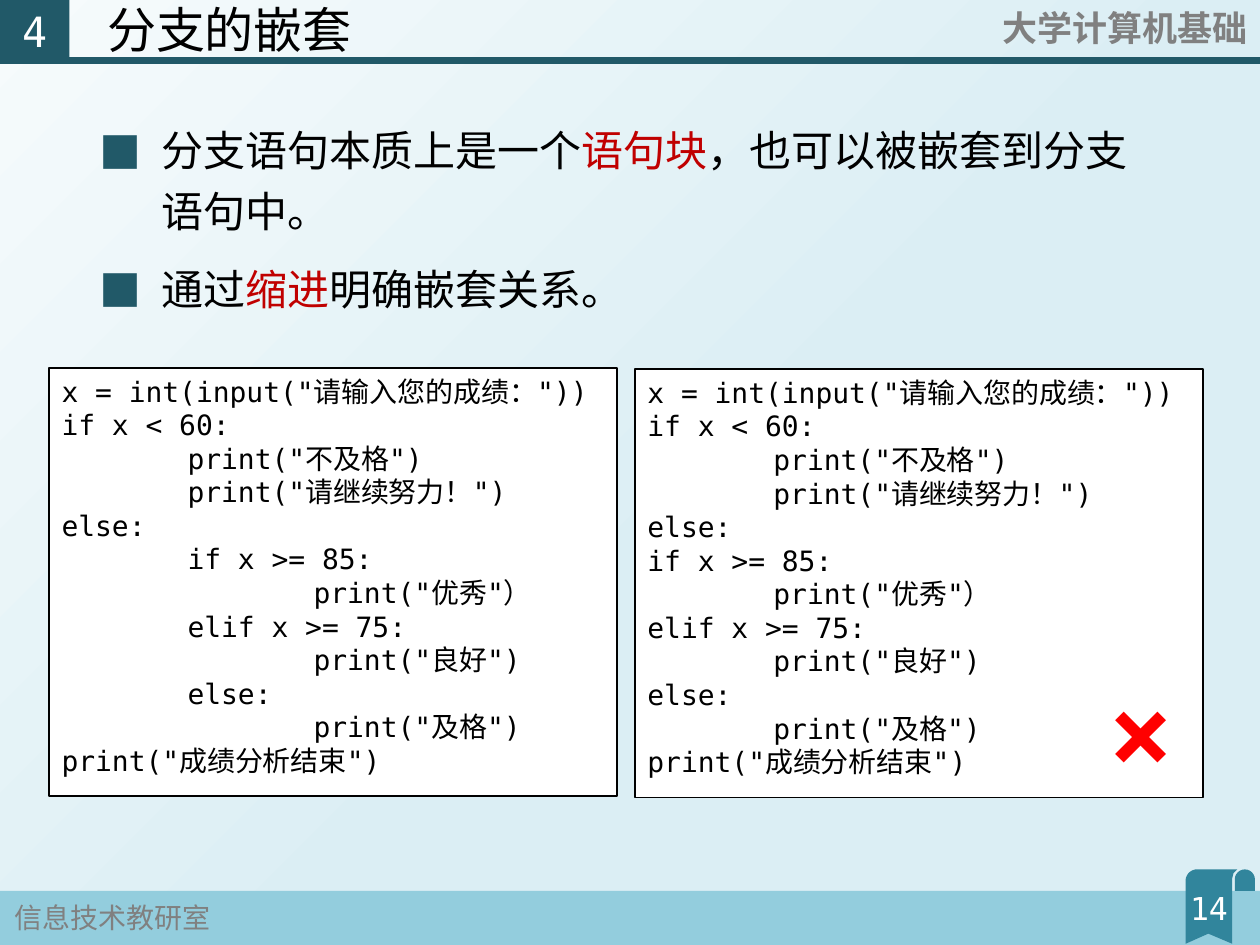
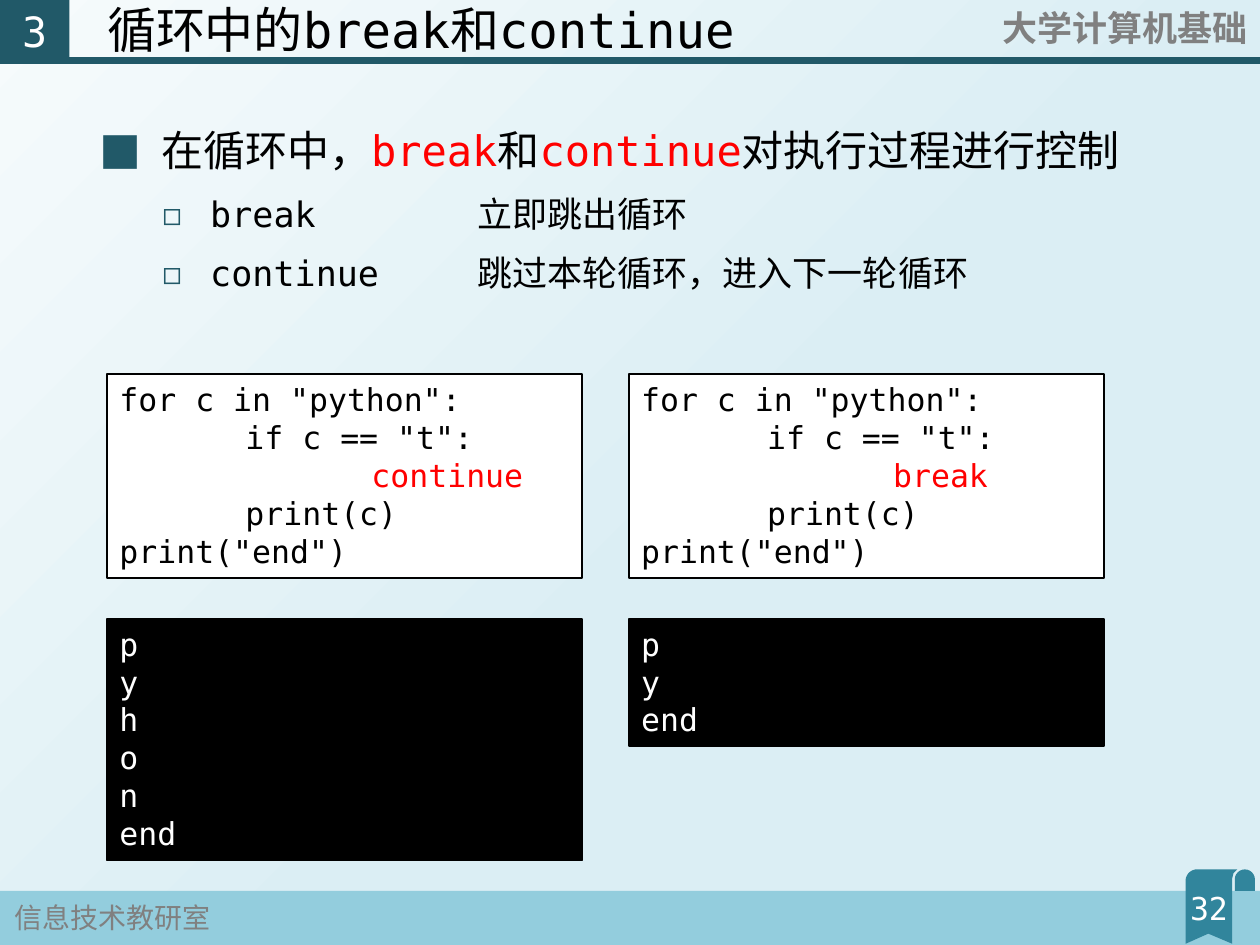
"""Build two lecture slides on nested branches and loop control."""
from dataclasses import dataclass
from math import cos, pi, sin

from lxml.etree import SubElement
from pptx import Presentation
from pptx.dml.color import RGBColor
from pptx.enum.shapes import MSO_CONNECTOR as Connector, MSO_SHAPE as Preset
from pptx.enum.text import MSO_ANCHOR as Anchor, MSO_AUTO_SIZE as AutoSize, PP_ALIGN as Align
from pptx.oxml.ns import qn
from pptx.util import Inches, Pt


@dataclass(frozen=True)
class Theme:
    """Colours, fonts and type sizes of the deck."""
    mono: str = "DejaVu Sans Mono"
    cjk: str = "Noto Sans CJK JP"
    dark: str = "215968"
    ribbon: str = "31859C"
    band: str = "93CDDD"
    pale: str = "F6FBFC"
    mist: str = "DBEEF4"
    grey: str = "808080"
    black: str = "000000"
    white: str = "FFFFFF"
    red: str = "FF0000"
    crimson: str = "C00000"
    title: float = 28
    point: float = 24
    chapter: float = 23.8
    subpoint: float = 20
    course: float = 20
    page: float = 18
    footer: float = 16
    cross: float = 60


THEME = Theme()
TAB = Inches(1)

NESTED = """x = int(input("请输入您的成绩："))
if x < 60:
\tprint("不及格")
\tprint("请继续努力！")
else:
\tif x >= 85:
\t\tprint("优秀"）
\telif x >= 75:
\t\tprint("良好")
\telse:
\t\tprint("及格")
print("成绩分析结束")"""

LOOP = """for c in "python":
\tif c == "t":
\t\t|{}|
\tprint(c)
print("end")"""


def rgb(colour):
    """Turn a hex string into a colour."""
    return RGBColor.from_string(colour)


def inches(*lengths):
    """Convert several lengths to Inches."""
    return [Inches(length) for length in lengths]


def style(run, size, colour, font=THEME.mono, bold=False):
    """Format one run for Latin and Chinese text."""
    run.font.size, run.font.bold, run.font.name = Pt(size), bold, font
    run.font.color.rgb = rgb(colour)
    SubElement(run.font._element, qn("a:ea"), typeface=THEME.cjk)


def write(paragraph, text, size, colour, accent=THEME.red, **options):
    """Write a line in which text between bars takes the accent colour."""
    paragraph._p.get_or_add_pPr().set("defTabSz", str(TAB))
    for index, piece in enumerate(text.split("|")):
        if piece:
            run = paragraph.add_run()
            run.text = piece
            style(run, size, accent if index % 2 else colour, **options)


def add_label(slide, box, text, size, colour, align=Align.LEFT, wrap=True, grow=True, **options):
    """Add a single-line text box."""
    frame = slide.shapes.add_textbox(*inches(*box)).text_frame
    frame.word_wrap = wrap
    frame.auto_size = AutoSize.SHAPE_TO_FIT_TEXT if grow else AutoSize.NONE
    frame.paragraphs[0].alignment = align
    write(frame.paragraphs[0], text, size, colour, **options)


def paint(shape, fill, line=None):
    """Give a shape a flat fill and an optional thin outline."""
    shape.shadow.inherit = False
    shape.fill.solid()
    shape.fill.fore_color.rgb = rgb(fill)
    if line:
        shape.line.color.rgb = rgb(line)
        shape.line.width = Pt(1)
    else:
        shape.line.fill.background()


def add_rect(slide, box, fill, line=None):
    """Add a flat rectangle."""
    rect = slide.shapes.add_shape(Preset.RECTANGLE, *inches(*box))
    paint(rect, fill, line)
    return rect


def add_code(slide, box, source, size, dark=False):
    """Add a code listing, or its output on black."""
    fill, ink = (THEME.black, THEME.white) if dark else (THEME.white, THEME.black)
    frame = add_rect(slide, box, fill, THEME.black).text_frame
    frame.word_wrap = True
    frame.auto_size = AutoSize.SHAPE_TO_FIT_TEXT
    frame.vertical_anchor = Anchor.TOP
    for index, line in enumerate(source.splitlines()):
        paragraph = frame.add_paragraph() if index else frame.paragraphs[0]
        paragraph.alignment = Align.LEFT
        write(paragraph, line, size, ink)


def set_bullet(paragraph, char, percent, margin, hang):
    """Give a paragraph a coloured bullet and a hanging indent."""
    props = paragraph._p.get_or_add_pPr()
    props.set("marL", str(Inches(margin)))
    props.set("indent", str(-Inches(hang)))
    tint = SubElement(props, qn("a:buClr"))
    SubElement(tint, qn("a:srgbClr"), val=THEME.dark)
    SubElement(props, qn("a:buSzPct"), val=str(percent * 1000))
    SubElement(props, qn("a:buFont"), typeface=THEME.cjk)
    SubElement(props, qn("a:buChar"), char=char)


def add_points(slide, points, accent):
    """Add the bulleted text from (level, text) pairs."""
    frame = slide.shapes.add_textbox(*inches(0.69, 0.86, 8.62, 1.7)).text_frame
    frame.word_wrap = True
    for index, (level, text) in enumerate(points):
        paragraph = frame.add_paragraph() if index else frame.paragraphs[0]
        paragraph.level = level
        paragraph.line_spacing = 1.2
        paragraph.space_before = Pt(5 if level else 10)
        if level:
            set_bullet(paragraph, "◻", 90, 0.88, 0.38)
        else:
            set_bullet(paragraph, "■", 100, 0.49, 0.49)
        write(paragraph, text, THEME.subpoint if level else THEME.point, THEME.black, accent)


def arc(x, y, radius, start, end, steps=12):
    """List points on an arc, with angles in half turns."""
    angles = [pi * (start + (end - start) * step / steps) for step in range(steps + 1)]
    return [(x + radius * cos(angle), y - radius * sin(angle)) for angle in angles]


def add_ribbon(slide):
    """Draw the page-number ribbon and its curl."""
    curl = arc(9.88, 6.98, 0.08, 1, 0) + [(9.96, 7.07), (9.8, 7.07)]
    strip = arc(9.5, 6.99, 0.09, 1, 0.5) + [
        (9.82, 6.9), (9.79, 6.93), (9.78, 6.97), (9.78, 7.49), (9.59, 7.41), (9.41, 7.49)]
    builder = slide.shapes.build_freeform(*inches(*curl[0]))
    builder.add_line_segments([inches(*point) for point in curl[1:]], close=True)
    builder.move_to(*inches(*strip[0]))
    builder.add_line_segments([inches(*point) for point in strip[1:]], close=True)
    paint(builder.convert_to_shape(), THEME.ribbon)


def set_title(slide, text):
    """Place and format the title placeholder."""
    title = slide.shapes.title
    title.left, title.top, title.width, title.height = inches(0.55, 0.01, 6.46, 0.49)
    frame = title.text_frame
    frame.auto_size = AutoSize.NONE
    frame.vertical_anchor = Anchor.MIDDLE
    heading = frame.paragraphs[0]
    heading.alignment = Align.LEFT
    heading.line_spacing = 0.9
    heading._p.get_or_add_pPr().set("marL", str(Inches(0.2)))
    write(heading, text, THEME.title, THEME.black)


def add_chapter(slide, number):
    """Add the chapter number in the top corner."""
    frame = add_rect(slide, (0, -0.01, 0.55, 0.51), THEME.dark).text_frame
    frame.vertical_anchor = Anchor.MIDDLE
    paragraph = frame.paragraphs[0]
    paragraph.alignment = Align.CENTER
    paragraph.space_before = Pt(10)
    write(paragraph, number, THEME.chapter, THEME.white)


def add_rule(slide):
    """Draw the line under the header."""
    rule = slide.shapes.add_connector(Connector.STRAIGHT, *inches(0, 0.48, 10, 0.48))
    rule.line.color.rgb = rgb(THEME.dark)
    rule.line.width = Pt(4.5)
    SubElement(rule._element.spPr, qn("a:effectLst"))


def new_slide(deck, chapter, title, page):
    """Start a slide with the shared header and footer."""
    slide = deck.slides.add_slide(deck.slide_layouts[5])
    add_rect(slide, (0, 7.07, 10, 0.43), THEME.band)
    add_ribbon(slide)
    add_label(slide, (0.02, 7.1, 1.77, 0.37), "信息技术教研室", THEME.footer, THEME.grey,
              wrap=False, font=THEME.cjk)
    add_rule(slide)
    add_label(slide, (7.83, 0, 2.17, 0.44), "大学计算机基础", THEME.course, THEME.grey,
              Align.RIGHT, font=THEME.cjk, bold=True)
    add_label(slide, (9.24, 7.01, 0.71, 0.4), page, THEME.page, THEME.white,
              Align.CENTER, grow=False)
    set_title(slide, title)
    add_chapter(slide, chapter)
    return slide


def set_background(master):
    """Give every slide the diagonal gradient."""
    fill = master.background.fill
    fill.gradient()
    fill.gradient_angle = 315
    for stop, position, colour in zip(fill.gradient_stops, (0, 0.56), (THEME.pale, THEME.mist)):
        stop.position = position
        stop.color.rgb = rgb(colour)


def build_branches(deck):
    """Build the slide on nested branches."""
    slide = new_slide(deck, "4", "分支的嵌套", "14")
    add_points(slide, [(0, "分支语句本质上是一个|语句块|，也可以被嵌套到分支语句中。"),
                       (0, "通过|缩进|明确嵌套关系。")], THEME.crimson)
    head, tail = NESTED.split("else:\n", 1)
    flattened = head + "else:\n" + tail.replace("\t\t", "\r").replace("\t", "").replace("\r", "\t")
    add_code(slide, (0.39, 2.92, 4.51, 3.4), NESTED, 16)
    add_code(slide, (5.04, 2.93, 4.51, 3.4), flattened, 16)
    add_label(slide, (8.71, 5.23, 0.84, 1.11), "×", THEME.cross, THEME.red, wrap=False, bold=True)


def build_loops(deck):
    """Build the slide on break and continue."""
    slide = new_slide(deck, "3", "循环中的break和continue", "32")
    add_points(slide, [(0, "在循环中，|break|和|continue|对执行过程进行控制"),
                       (1, "break\t\t立即跳出循环"),
                       (1, "continue\t跳过本轮循环，进入下一轮循环")], THEME.red)
    examples = [("continue", "p y h o n end", 1.92), ("break", "p y end", 1.01)]
    for column, (keyword, output, height) in enumerate(examples):
        left = 0.85 + 4.14 * column
        add_code(slide, (left, 2.97, 3.77, 1.62), LOOP.format(keyword), 18)
        add_code(slide, (left, 4.91, 3.77, height), "\n".join(output.split()), 18, dark=True)


def main():
    """Build and save the deck."""
    deck = Presentation()
    deck.slide_width, deck.slide_height = inches(10, 7.5)
    set_background(deck.slide_master)
    build_branches(deck)
    build_loops(deck)
    deck.save("out.pptx")


main()
